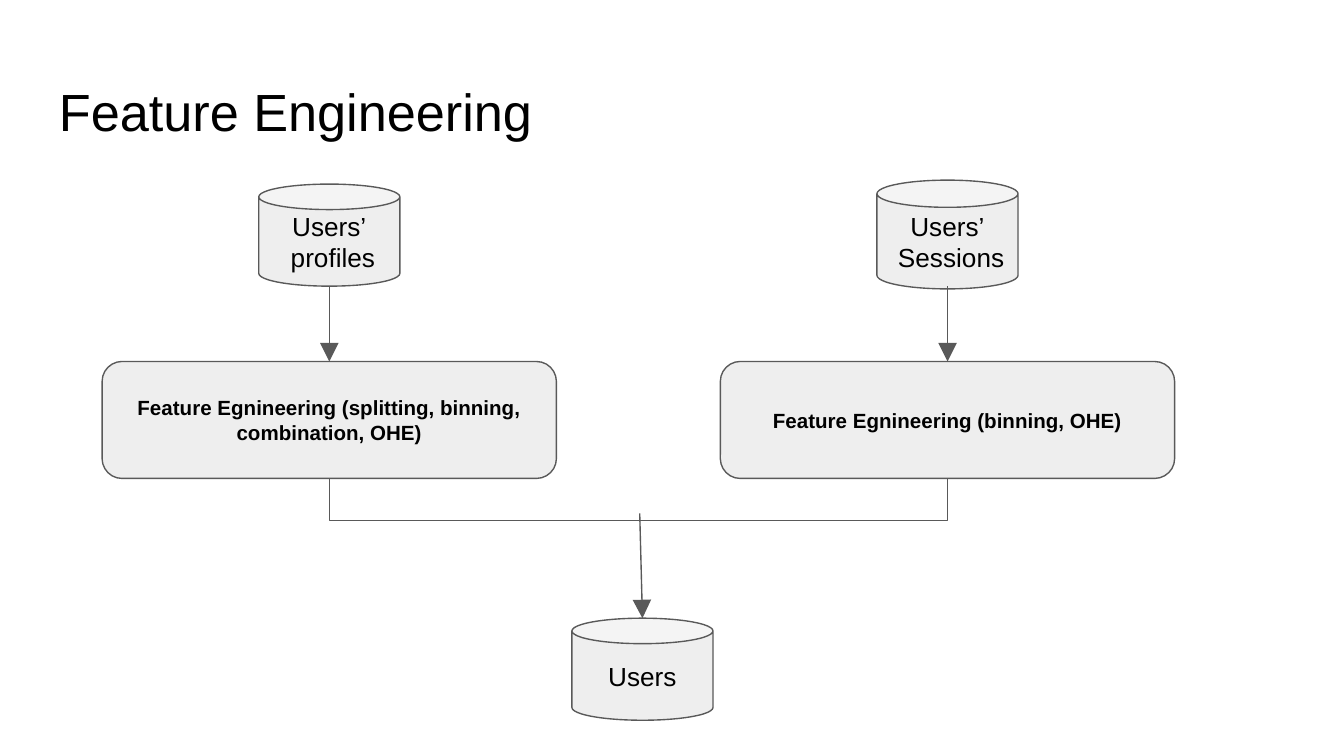
from lxml import etree
from pptx import Presentation
from pptx import util as u
from pptx.dml.color import RGBColor
from pptx.enum import shapes, text
from pptx.oxml import ns

COLORS = {"fill": "EEEEEE", "line": "595959", "text": "000000"}
FONT = "Arial"

# Centre lines of the two branches and of the merged result
LEFT_X, RIGHT_X, USERS_X = 2.45, 7.05, 4.78
CAN_WIDTH, CAN_HEIGHT = 1.05, 0.76
STEP_TOP, STEP_WIDTH, STEP_HEIGHT = 2.69, 3.38, 0.87
USERS_TOP = 4.6
BOTTOM_SITE = 2


def color(name):
    return RGBColor.from_string(COLORS[name])


def style_line(line):
    line.color.rgb = color("line")
    line.width = u.Pt(0.75)


def write(frame, lines, size, bold=False, align=text.PP_ALIGN.CENTER):
    frame.word_wrap = True
    frame.margin_left = frame.margin_right = u.Inches(0.1)
    frame.margin_top = frame.margin_bottom = u.Inches(0.1)
    for index, line in enumerate(lines):
        para = frame.paragraphs[0] if index == 0 else frame.add_paragraph()
        para.alignment = align
        span = para.add_run()
        span.text = line
        span.font.name = FONT
        span.font.size = u.Pt(size)
        span.font.bold = bold
        span.font.color.rgb = color("text")


def add_title(page, title):
    box = page.shapes.add_textbox(u.Inches(0.34), u.Inches(0.49), u.Inches(9.32), u.Inches(0.63))
    write(box.text_frame, [title], 28, align=text.PP_ALIGN.LEFT)


def add_node(page, kind, center_x, top, width, height, adjust, lines, size, bold=False):
    node = page.shapes.add_shape(kind, u.Inches(center_x - width / 2), u.Inches(top),
                                 u.Inches(width), u.Inches(height))
    node.adjustments[0] = adjust
    node.shadow.inherit = False
    node.fill.solid()
    node.fill.fore_color.rgb = color("fill")
    style_line(node.line)
    node.text_frame.vertical_anchor = text.MSO_ANCHOR.MIDDLE
    write(node.text_frame, lines, size, bold)
    return node


def add_can(page, center_x, top, lines, height=CAN_HEIGHT):
    return add_node(page, shapes.MSO_SHAPE.CAN, center_x, top, CAN_WIDTH, height,
                    0.25, lines, 14)


def add_step(page, center_x, label):
    return add_node(page, shapes.MSO_SHAPE.ROUNDED_RECTANGLE, center_x, STEP_TOP, STEP_WIDTH,
                    STEP_HEIGHT, 0.17, [label], 11, bold=True)


def add_line(page, kind, start, end):
    points = [u.Inches(value) for value in (*start, *end)]
    line = page.shapes.add_connector(kind, *points)
    style_line(line.line)
    etree.SubElement(line._element.spPr, ns.qn("a:effectLst"))
    return line


def add_arrow(page, start, end):
    arrow = add_line(page, shapes.MSO_CONNECTOR.STRAIGHT, start, end)
    etree.SubElement(arrow.line._get_or_add_ln(), ns.qn("a:tailEnd"),
                     type="triangle", w="lg", len="lg")


def add_bracket(page, left_step, right_step):
    bottom = STEP_TOP + STEP_HEIGHT
    bracket = add_line(page, shapes.MSO_CONNECTOR.ELBOW, (LEFT_X, bottom), (RIGHT_X, bottom))
    bracket.begin_connect(left_step, BOTTOM_SITE)
    bracket.end_connect(right_step, BOTTOM_SITE)

    # A quarter turn makes the elbow drop below both steps; the bend is a multiple of the width
    span = RIGHT_X - LEFT_X
    bracket.left, bracket.top = u.Inches((LEFT_X + RIGHT_X) / 2), u.Inches(bottom - span / 2)
    bracket.width, bracket.height = u.Emu(600), u.Inches(span)
    frame = bracket._element.spPr.find(ns.qn("a:xfrm"))
    frame.set("rot", "16200000")
    frame.set("flipH", "1")
    adjusts = bracket._element.spPr.find(ns.qn("a:prstGeom")).find(ns.qn("a:avLst"))
    etree.SubElement(adjusts, ns.qn("a:gd"), name="adj1", fmla="val 39700000")


def main():
    deck = Presentation()
    deck.slide_width = u.Inches(10)
    deck.slide_height = u.Emu(deck.slide_width * 9 // 16)
    page = deck.slides.add_slide(deck.slide_layouts[6])

    add_title(page, "Feature Engineering")

    # Data stores
    add_can(page, RIGHT_X, 1.34, ["Users’", " Sessions"], height=0.81)
    add_can(page, LEFT_X, 1.37, ["Users’", " profiles"])
    add_can(page, USERS_X, USERS_TOP, ["Users"])

    # Processing steps
    left_step = add_step(page, LEFT_X,
                         "Feature Egnineering (splitting, binning, combination, OHE)")
    right_step = add_step(page, RIGHT_X, "Feature Egnineering (binning, OHE)")

    # Flow from stores to steps, then into the merged store
    for x in (LEFT_X, RIGHT_X):
        add_arrow(page, (x, 2.13), (x, STEP_TOP))
    add_bracket(page, left_step, right_step)
    add_arrow(page, (4.76, 3.82), (USERS_X, USERS_TOP))

    deck.save("out.pptx")


if __name__ == "__main__":
    main()
